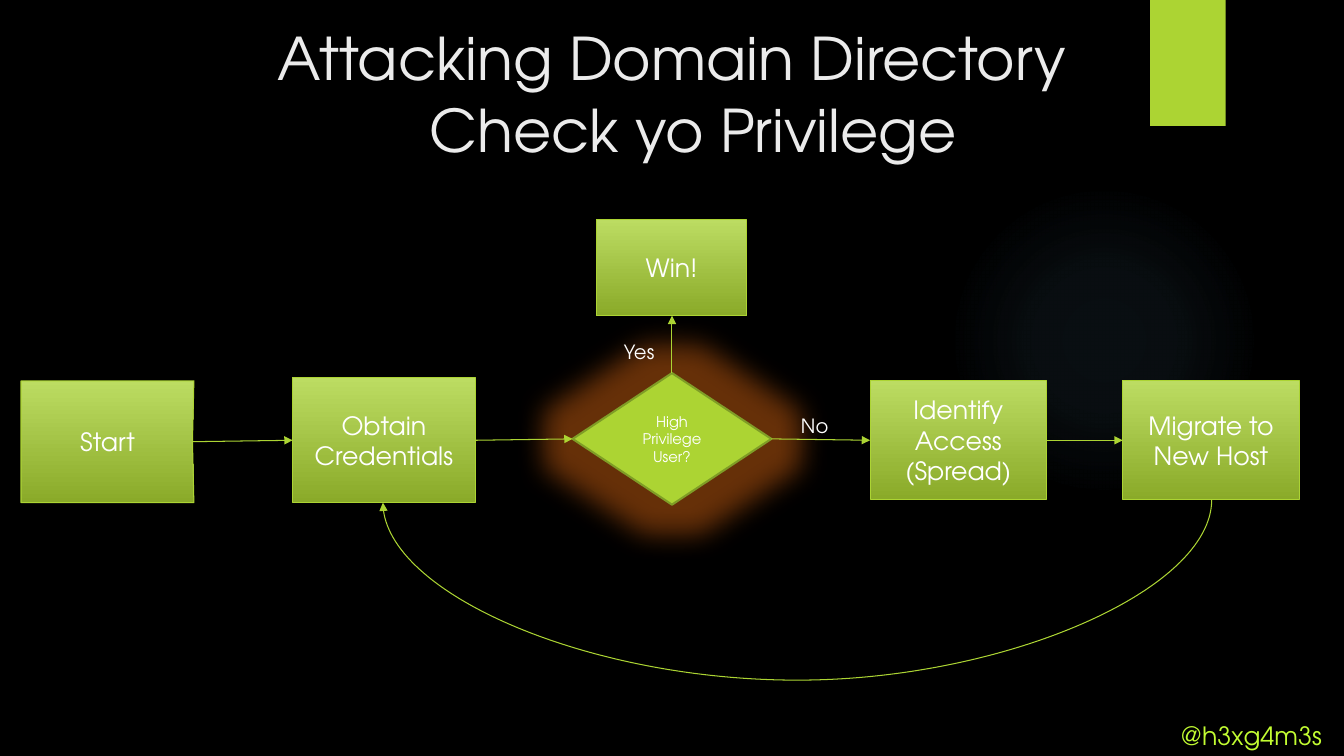
from lxml import etree
from pptx import Presentation
from pptx.dml.color import RGBColor
from pptx.enum.shapes import MSO_CONNECTOR, MSO_SHAPE
from pptx.enum.text import MSO_ANCHOR, MSO_AUTO_SIZE, PP_ALIGN
from pptx.oxml import parse_xml
from pptx.oxml.ns import qn
from pptx.util import Pt

CENTER, LEFT = PP_ALIGN.CENTER, PP_ALIGN.LEFT
MIDDLE, TOP = MSO_ANCHOR.MIDDLE, MSO_ANCHOR.TOP
STRAIGHT, CURVE = MSO_CONNECTOR.STRAIGHT, MSO_CONNECTOR.CURVE
RECTANGLE, OVAL = MSO_SHAPE.RECTANGLE, MSO_SHAPE.OVAL
DECISION = MSO_SHAPE.FLOWCHART_DECISION
NO_AUTOFIT = MSO_AUTO_SIZE.NONE
FONT = "TeX Gyre Adventor"
LIME, WHITE, PALE = "ACD433", "FFFFFF", "EBEBEB"
DRAWING_NS = 'xmlns:a="http://schemas.openxmlformats.org/drawingml/2006/main"'


def color(hex_code):
    return RGBColor.from_string(hex_code)


def write(frame, text, size, hex_code, align=CENTER, anchor=MIDDLE):
    """Fill a text frame, one paragraph for each line of the text."""
    frame.word_wrap = True
    frame.auto_size = NO_AUTOFIT
    frame.vertical_anchor = anchor
    for index, line in enumerate(text.split("\n")):
        paragraph = frame.add_paragraph() if index else frame.paragraphs[0]
        paragraph.alignment = align
        run = paragraph.add_run()
        run.text = line
        run.font.name = FONT
        run.font.size = Pt(size)
        run.font.color.rgb = color(hex_code)


prs = Presentation()
prs.slide_width, prs.slide_height = Pt(960), Pt(540)
slide = prs.slides.add_slide(prs.slide_layouts[5])
slide.background.fill.solid()
slide.background.fill.fore_color.rgb = color("000000")
shapes = slide.shapes

# Backdrop: faint halo and bookmark
halo = shapes.add_shape(OVAL, Pt(677.5), Pt(132), Pt(222), Pt(222))
halo.shadow.inherit = False
halo.line.fill.background()
halo.fill.background()
stops = "".join(
    f'<a:gs pos="{position * 1000}"><a:srgbClr val="7AC4F0">'
    f'<a:alpha val="{alpha * 1000}"/></a:srgbClr></a:gs>'
    for position, alpha in [(0, 7), (36, 6), (69, 0)])
halo_spPr = halo.element.spPr
halo_spPr.replace(halo_spPr.find(qn("a:noFill")), parse_xml(
    f'<a:gradFill {DRAWING_NS}><a:gsLst>{stops}</a:gsLst><a:path path="circle">'
    '<a:fillToRect l="50000" t="50000" r="50000" b="50000"/></a:path></a:gradFill>'))

bookmark = shapes.add_shape(RECTANGLE, Pt(821.5), Pt(0), Pt(54), Pt(90))
bookmark.shadow.inherit = False
bookmark.fill.solid()
bookmark.fill.fore_color.rgb = color(LIME)
bookmark.line.fill.background()

# Two-line heading
title = shapes.title
title.left, title.top, title.width, title.height = Pt(109.5), Pt(13), Pt(741), Pt(56)
write(title.text_frame, "Attacking Domain Directory", 42, PALE)
subtitle = shapes.add_textbox(Pt(124.5), Pt(64), Pt(741), Pt(56))
write(subtitle.text_frame, "Check yo Privilege", 42, PALE)

# Process steps
outline = shapes.build_freeform(Pt(15), Pt(272))
outline.add_line_segments(
    [(Pt(x), Pt(y)) for x, y in [(138.5, 272), (137.5, 315.5), (138.5, 359), (15, 359)]])
start = outline.convert_to_shape()
steps = [(start, "Start")]
for text, left, top, width, height in [
    ("Win!", 426, 157, 107.5, 68.5),
    ("Obtain Credentials", 209, 270, 130.5, 89),
    ("Identify Access\n(Spread)", 621.5, 272, 126, 84.5),
    ("Migrate to New Host", 802, 272, 126, 85),
]:
    box = shapes.add_shape(RECTANGLE, Pt(left), Pt(top), Pt(width), Pt(height))
    steps.append((box, text))

for step, text in steps:
    step.shadow.inherit = False
    step.fill.gradient()
    step.fill.gradient_angle = 270
    for stop, shade in zip(step.fill.gradient_stops, ("BCDC62", "8AAA29")):
        stop.color.rgb = color(shade)
    step.line.color.rgb = color(LIME)
    step.line.width = Pt(0.75)
    write(step.text_frame, text, 18, WHITE)

# Decision with an orange glow
decision = shapes.add_shape(DECISION, Pt(409), Pt(266.5), Pt(142), Pt(94))
decision.fill.solid()
decision.fill.fore_color.rgb = color(LIME)
decision.line.color.rgb = color("7F9D26")
decision.line.width = Pt(1.5)
decision.shadow.inherit = False
decision.element.spPr.find(qn("a:effectLst")).append(parse_xml(
    f'<a:glow {DRAWING_NS} rad="{Pt(40)}"><a:srgbClr val="FF7815">'
    '<a:alpha val="40000"/></a:srgbClr></a:glow>'))
write(decision.text_frame, "High Privilege User?", 10.5, WHITE)

# Arrows; the last one is turned a quarter to loop back under the steps
for kind, x1, y1, x2, y2 in [
    (STRAIGHT, 137.5, 315.5, 209, 314.5),
    (STRAIGHT, 339.5, 314.5, 409, 313.5),
    (STRAIGHT, 480, 266.5, 480, 225.5),
    (STRAIGHT, 551, 313.5, 621.5, 314.5),
    (STRAIGHT, 747.5, 314.5, 802, 314.5),
    (CURVE, 568.5, 62, 570.5, 654),
]:
    arrow = shapes.add_connector(kind, Pt(x1), Pt(y1), Pt(x2), Pt(y2))
    arrow.line.color.rgb = color(LIME)
    arrow.line.width = Pt(0.75)
    spPr = arrow.element.spPr
    etree.SubElement(spPr.find(qn("a:ln")), qn("a:tailEnd"), type="triangle")
    etree.SubElement(spPr, qn("a:effectLst"))
    if kind == CURVE:
        spPr.find(qn("a:xfrm")).set("rot", "5400000")
        adjustments = spPr.find(qn("a:prstGeom")).get_or_add_avLst()
        etree.SubElement(adjustments, qn("a:gd"), name="adj1", fmla="val 6400000")

# Branch labels and handle
for text, left, top, width, height, size, hex_code in [
    ("Yes", 438.5, 239, 42, 25, 14, WHITE),
    ("No", 565, 292, 46, 25, 14, WHITE),
    ("@h3xg4m3s", 836, 511, 118, 29, 18, "C2FC32"),
]:
    label = shapes.add_textbox(Pt(left), Pt(top), Pt(width), Pt(height))
    write(label.text_frame, text, size, hex_code, LEFT, TOP)

prs.save("out.pptx")
